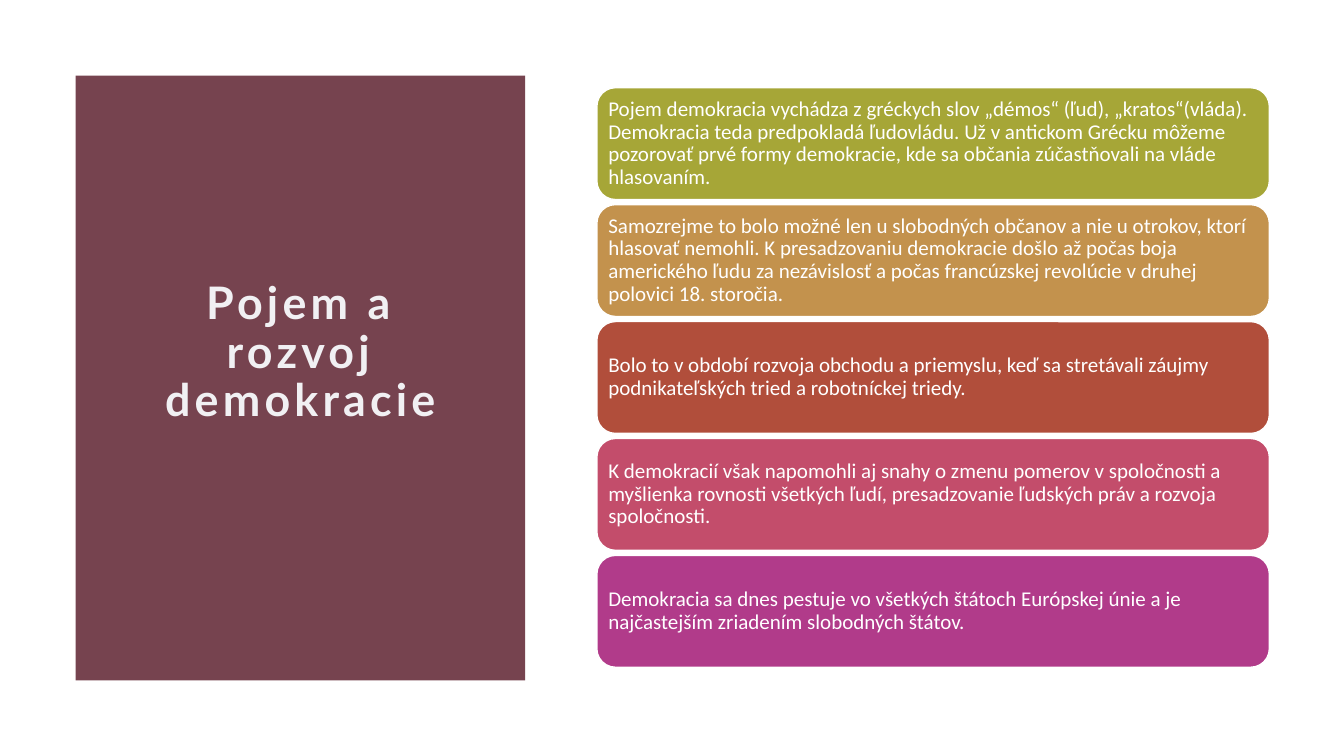
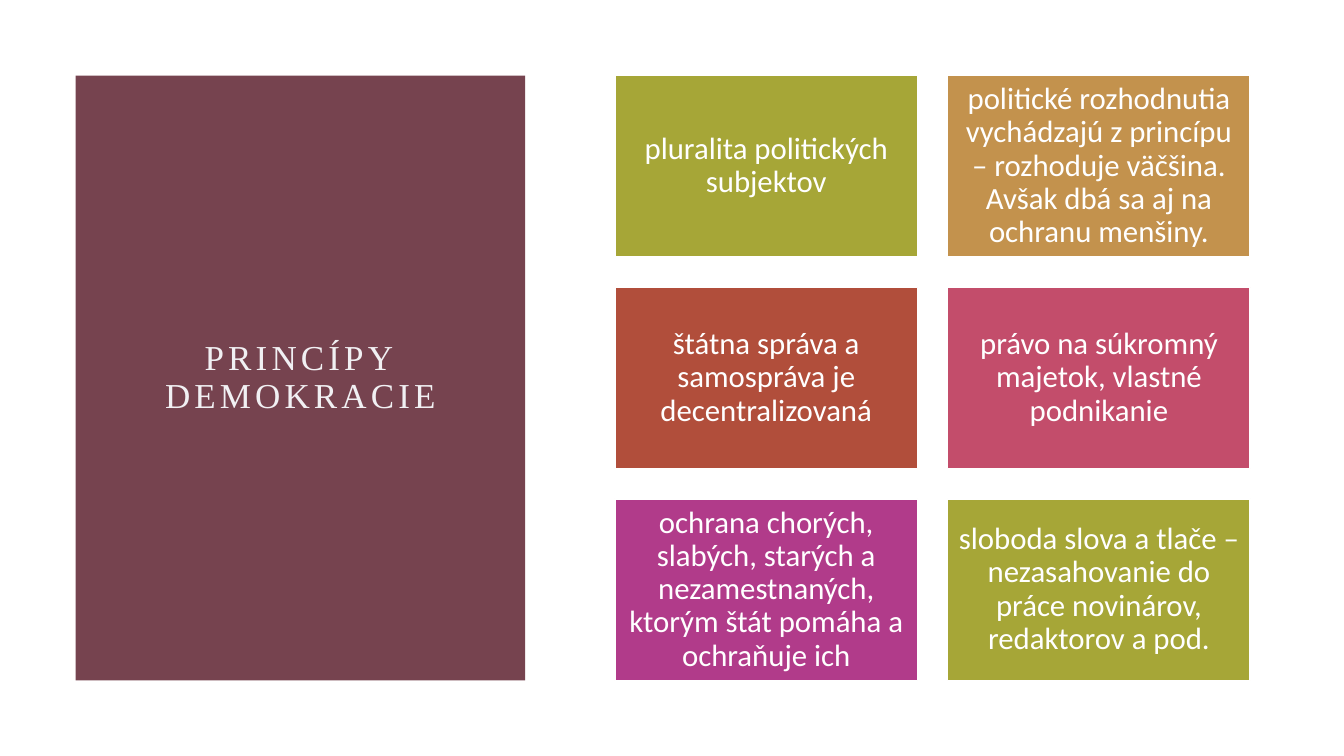
from dataclasses import dataclass

import pptx
import pptx.dml.color
import pptx.enum.shapes
import pptx.enum.text
import pptx.util

Inches = pptx.util.Inches
SHAPE = pptx.enum.shapes.MSO_SHAPE
ALIGN = pptx.enum.text.PP_ALIGN


# Colours, fonts and type sizes
@dataclass(frozen=True)
class Theme:
    panel: str = "76434F"
    title_text: str = "F1F0F3"
    white: str = "FFFFFF"
    accents: tuple = ("A6A637", "C3924D", "B14E3B", "C34D6B", "B13B8A")
    body_font: str = "Calibri"
    concept_font: str = "Lato"
    principles_font: str = "Times New Roman"
    concept_title_size: int = 32
    principles_title_size: int = 25
    statement_size: int = 15
    principle_size: int = 22
    title_tracking: int = 3
    line_spacing: float = 0.9


THEME = Theme()

STATEMENTS = [
    "Pojem demokracia vychádza z gréckych slov „démos“ (ľud), „kratos“(vláda). "
    "Demokracia teda predpokladá ľudovládu. Už v antickom Grécku môžeme pozorovať "
    "prvé formy demokracie, kde sa občania zúčastňovali na vláde hlasovaním.",
    "Samozrejme to bolo možné len u slobodných občanov a nie u otrokov, ktorí "
    "hlasovať nemohli. K presadzovaniu demokracie došlo až počas boja amerického "
    "ľudu za nezávislosť a počas francúzskej revolúcie v druhej polovici 18. storočia.",
    "Bolo to v období rozvoja obchodu a priemyslu, keď sa stretávali záujmy "
    "podnikateľských tried a robotníckej triedy.",
    "K demokracií však napomohli aj snahy o zmenu pomerov v spoločnosti "
    "a myšlienka rovnosti všetkých ľudí, presadzovanie ľudských práv a rozvoja "
    "spoločnosti.",
    "Demokracia sa dnes pestuje vo všetkých štátoch Európskej únie a je "
    "najčastejším zriadením slobodných štátov.",
]

PRINCIPLES = [
    "pluralita politických subjektov",
    "politické rozhodnutia vychádzajú z princípu – rozhoduje väčšina. "
    "Avšak dbá sa aj na ochranu menšiny.",
    "štátna správa a samospráva je decentralizovaná",
    "právo na súkromný majetok, vlastné podnikanie",
    "ochrana chorých, slabých, starých a nezamestnaných, ktorým štát pomáha "
    "a ochraňuje ich",
    "sloboda slova a tlače – nezasahovanie do práce novinárov, redaktorov a pod.",
]


def rgb(colour):
    return pptx.dml.color.RGBColor.from_string(colour)


def write_text(frame, text, *, size, font=THEME.body_font, colour=THEME.white,
               bold=False, align=ALIGN.CENTER, tracking=0, insets=(0.1, 0.05)):
    frame.word_wrap = True
    frame.auto_size = pptx.enum.text.MSO_AUTO_SIZE.NONE
    frame.vertical_anchor = pptx.enum.text.MSO_ANCHOR.MIDDLE
    frame.margin_left = frame.margin_right = Inches(insets[0])
    frame.margin_top = frame.margin_bottom = Inches(insets[1])
    paragraph = frame.paragraphs[0]
    paragraph.alignment = align
    paragraph.line_spacing = THEME.line_spacing
    run = paragraph.add_run()
    run.text = text
    run.font.size = pptx.util.Pt(size)
    run.font.name = font
    run.font.bold = bold
    run.font.color.rgb = rgb(colour)
    if tracking:
        run._r.get_or_add_rPr().set("spc", str(tracking * 100))


def add_block(slide, preset, left, top, width, height, fill, outline=None):
    block = slide.shapes.add_shape(
        preset, Inches(left), Inches(top), Inches(width), Inches(height))
    block.shadow.inherit = False
    block.fill.solid()
    block.fill.fore_color.rgb = rgb(fill)
    if outline:
        block.line.color.rgb = rgb(outline)
        block.line.width = pptx.util.Pt(1)
    else:
        block.line.fill.background()
    return block


def add_titled_slide(deck, text, *, height=4.5, **text_format):
    """Slide with the title centred on the coloured panel at the left."""
    slide = deck.slides.add_slide(deck.slide_layouts[5])
    panel = add_block(slide, SHAPE.RECTANGLE, 0.75, 0.75, 4.46, 6, THEME.panel)
    title = slide.shapes.title
    title._element.addprevious(panel._element)  # panel goes behind the title
    title.left, title.top = Inches(1.5), Inches(1.5)
    title.width, title.height = Inches(2.96), Inches(height)
    write_text(title.text_frame, text, colour=THEME.title_text,
               tracking=THEME.title_tracking, **text_format)
    return slide


def add_cards(slide, texts, preset, *, origin, card, pitch, columns=1, **text_format):
    """Grid of cards whose fills run through the accent colours."""
    for index, text in enumerate(texts):
        row, column = divmod(index, columns)
        block = add_block(
            slide, preset,
            origin[0] + column * pitch[0], origin[1] + row * pitch[1], *card,
            THEME.accents[index % len(THEME.accents)], THEME.white)
        write_text(block.text_frame, text, **text_format)


def main():
    deck = pptx.Presentation()
    deck.slide_width, deck.slide_height = Inches(13.33), Inches(7.5)

    # Concept and development of democracy
    concept = add_titled_slide(
        deck, "Pojem a rozvoj demokracie", height=4.02,
        size=THEME.concept_title_size, font=THEME.concept_font, bold=True)
    add_cards(concept, STATEMENTS, SHAPE.ROUNDED_RECTANGLE,
              origin=(5.92, 0.87), card=(6.67, 1.11), pitch=(0, 1.16),
              size=THEME.statement_size, align=ALIGN.LEFT, insets=(0.06, 0.06))

    # Principles of democracy
    principles = add_titled_slide(
        deck, "PRINCÍPY DEMOKRACIE",
        size=THEME.principles_title_size, font=THEME.principles_font)
    add_cards(principles, PRINCIPLES, SHAPE.RECTANGLE, columns=2,
              origin=(6.1, 0.75), card=(3, 1.8), pitch=(3.3, 2.1),
              size=THEME.principle_size, insets=(0.09, 0.09))

    deck.save("out.pptx")


if __name__ == "__main__":
    main()
